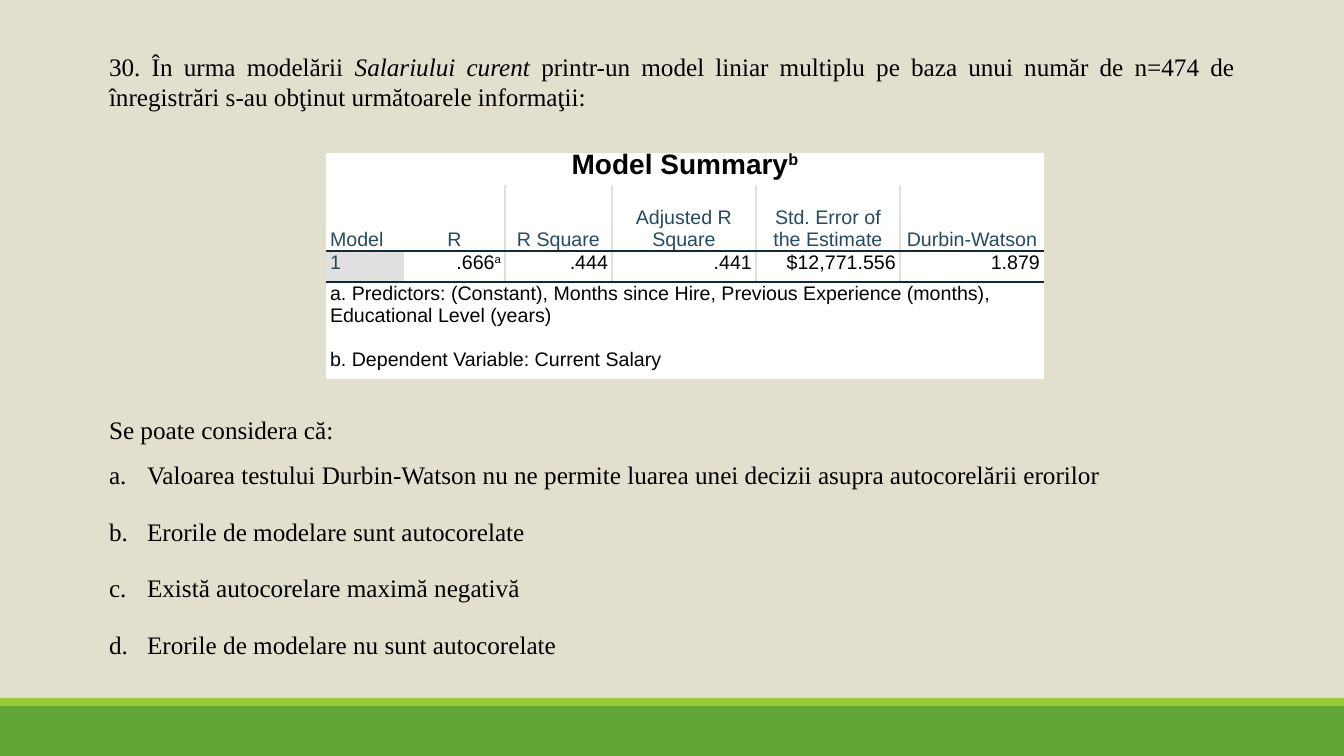
from dataclasses import dataclass

import pptx
import pptx.dml.color
import pptx.enum.shapes
import pptx.enum.text
import pptx.oxml
import pptx.oxml.ns
import pptx.util

EMU_PER_PX = 12192000 / 1344
ALIGN = pptx.enum.text.PP_ALIGN
ANCHOR = pptx.enum.text.MSO_ANCHOR


@dataclass(frozen=True)
class Theme:
    background: str = "E2DFCC"
    green: str = "63A537"
    lime: str = "99CB38"
    white: str = "FFFFFF"
    black: str = "000000"
    ink: str = "010205"
    heading: str = "264A60"
    grey: str = "E0E0E0"
    rule: str = "152935"
    serif: str = "Times New Roman"
    sans: str = "Arial"
    body_size: int = 18
    title_size: int = 20
    cell_size: int = 14


THEME = Theme()


@dataclass(frozen=True)
class Span:
    text: str
    italic: bool = False
    superscript: bool = False


@dataclass(frozen=True)
class Band:
    top: int
    height: int
    color: str


@dataclass(frozen=True)
class Row:
    height: int
    cells: list[list[Span]]
    color: str = THEME.ink
    align: ALIGN = ALIGN.LEFT
    anchor: ANCHOR = ANCHOR.TOP
    size: int = THEME.cell_size
    bold: bool = False


# Slide content
BANDS = [Band(706, 50, THEME.green), Band(698, 8, THEME.lime)]
INTRO = [
    Span("30. În urma modelării "),
    Span("Salariului curent ", italic=True),
    Span("printr-un model liniar multiplu pe baza unui număr de n=474 de "
         "înregistrări s-au obţinut următoarele informaţii:"),
]
QUESTION = "Se poate considera că:"
OPTIONS = [
    "Valoarea testului Durbin-Watson nu ne permite luarea unei decizii asupra autocorelării erorilor",
    "Erorile de modelare sunt autocorelate",
    "Există autocorelare maximă negativă",
    "Erorile de modelare nu sunt autocorelate",
]
COLUMN_WIDTHS = [78, 101, 107, 144, 144, 144]
HEADINGS = ["Model", "R", "R Square", "Adjusted R Square", "Std. Error of the Estimate", "Durbin-Watson"]
VALUES = [".444", ".441", "$12,771.556", "1.879"]
HEADING_ROW, VALUE_ROW, NOTE_ROW = 1, 2, 3
ROWS = [
    Row(32, [[Span("Model Summary"), Span("b", superscript=True)]],
        align=ALIGN.CENTER, anchor=ANCHOR.MIDDLE, size=THEME.title_size, bold=True),
    Row(66, [[Span(text)] for text in HEADINGS], THEME.heading, ALIGN.CENTER, ANCHOR.BOTTOM),
    Row(31, [[Span("1")], [Span(".666"), Span("a", superscript=True)]]
        + [[Span(text)] for text in VALUES], align=ALIGN.RIGHT),
    Row(66, [[Span("a. Predictors: (Constant), Months since Hire, Previous Experience (months), "
                   "Educational Level (years)")]]),
    Row(31, [[Span("b. Dependent Variable: Current Salary")]]),
]


def px(length: int) -> int:
    return round(length * EMU_PER_PX)


def rgb(color: str) -> pptx.dml.color.RGBColor:
    return pptx.dml.color.RGBColor.from_string(color)


def write(para, spans: list[Span], *, font: str, size: int, color: str, align: ALIGN,
          bold: bool = False, line_spacing=None, space_after: int = 0,
          left: int = 0, right: int = 0, indent: int = 0, numbering: str = "") -> None:
    para.alignment = align
    para.space_after = pptx.util.Pt(space_after)
    if line_spacing is not None:
        para.line_spacing = line_spacing
    properties = para._p.get_or_add_pPr()
    for name, length in (("marL", left), ("marR", right), ("indent", indent)):
        properties.set(name, str(px(length)))
    if numbering:
        bullet = pptx.oxml.parse_xml(
            f'<a:buAutoNum {pptx.oxml.ns.nsdecls("a")} type="{numbering}"/>')
        properties.append(bullet)
    for span in spans:
        run = para.add_run()
        run.text = span.text
        run.font.name = font
        run.font.size = pptx.util.Pt(size)
        run.font.bold = bold
        run.font.italic = span.italic
        run.font.color.rgb = rgb(color)
        if span.superscript:
            run.font._element.set("baseline", "30000")


def add_band(page, band: Band) -> None:
    shape = page.shapes.add_shape(
        pptx.enum.shapes.MSO_SHAPE.RECTANGLE, 0, px(band.top), px(1344), px(band.height))
    shape.shadow.inherit = False
    shape.fill.solid()
    shape.fill.fore_color.rgb = rgb(band.color)
    shape.line.fill.background()


def add_box(page, top: int, height: int):
    box = page.shapes.add_textbox(px(109), px(top), px(1126), px(height))
    frame = box.text_frame
    frame.word_wrap = True
    frame.margin_left = frame.margin_right = frame.margin_top = frame.margin_bottom = 0
    return frame


def set_borders(cell, colors: dict[str, str]) -> None:
    properties = cell._tc.get_or_add_tcPr()
    for position, side in enumerate("LRTB"):
        color = colors.get(side)
        paint = f'<a:solidFill><a:srgbClr val="{color}"/></a:solidFill>' if color else "<a:noFill/>"
        properties.insert(position, pptx.oxml.parse_xml(
            f'<a:ln{side} {pptx.oxml.ns.nsdecls("a")} w="12700">{paint}</a:ln{side}>'))


def border_colors(row: int, column: int) -> dict[str, str]:
    colors = {}
    if row in (HEADING_ROW, VALUE_ROW):
        colors["B"] = THEME.rule
        if column >= 2:
            colors["L"] = THEME.grey
        if 1 <= column < len(COLUMN_WIDTHS) - 1:
            colors["R"] = THEME.grey
    if row in (VALUE_ROW, NOTE_ROW):
        colors["T"] = THEME.rule
    return colors


def add_summary(page) -> None:
    last = len(COLUMN_WIDTHS) - 1
    table = page.shapes.add_table(
        len(ROWS), len(COLUMN_WIDTHS), px(326), px(153),
        px(sum(COLUMN_WIDTHS)), px(sum(row.height for row in ROWS))).table
    table.first_row = table.horz_banding = False
    for column, width in zip(table.columns, COLUMN_WIDTHS):
        column.width = px(width)
    for r, row in enumerate(ROWS):
        table.rows[r].height = px(row.height)
        if len(row.cells) == 1:
            table.cell(r, 0).merge(table.cell(r, last))
        for c in range(last + 1):
            cell = table.cell(r, c)
            stub = r == VALUE_ROW and c == 0
            cell.fill.solid()
            cell.fill.fore_color.rgb = rgb(THEME.grey if stub else THEME.white)
            cell.margin_left = cell.margin_right = cell.margin_top = cell.margin_bottom = 0
            cell.vertical_anchor = row.anchor
            set_borders(cell, border_colors(r, c))
            if c < len(row.cells):
                label = stub or (r == HEADING_ROW and c == 0)
                write(cell.text_frame.paragraphs[0], row.cells[c], font=THEME.sans,
                      size=row.size, bold=row.bold,
                      color=THEME.heading if stub else row.color,
                      align=ALIGN.LEFT if label else row.align,
                      line_spacing=pptx.util.Pt(16), space_after=8, left=4, right=4)


def main() -> None:
    deck = pptx.Presentation()
    deck.slide_width, deck.slide_height = px(1344), px(756)
    page = deck.slides.add_slide(deck.slide_layouts[6])
    page.background.fill.solid()
    page.background.fill.fore_color.rgb = rgb(THEME.background)
    for band in BANDS:
        add_band(page, band)

    # Problem statement
    body = dict(font=THEME.serif, size=THEME.body_size, color=THEME.black, align=ALIGN.JUSTIFY)
    write(add_box(page, 51, 60).paragraphs[0], INTRO, **body)

    # Question and answers
    frame = add_box(page, 414, 256)
    write(frame.paragraphs[0], [Span(QUESTION)], **body)
    for option in OPTIONS:
        write(frame.add_paragraph(), [Span(option)], **body, line_spacing=1.5, space_after=8,
              left=38, indent=-38, numbering="alphaLcPeriod")

    # Regression summary
    add_summary(page)
    deck.save("out.pptx")


if __name__ == "__main__":
    main()
